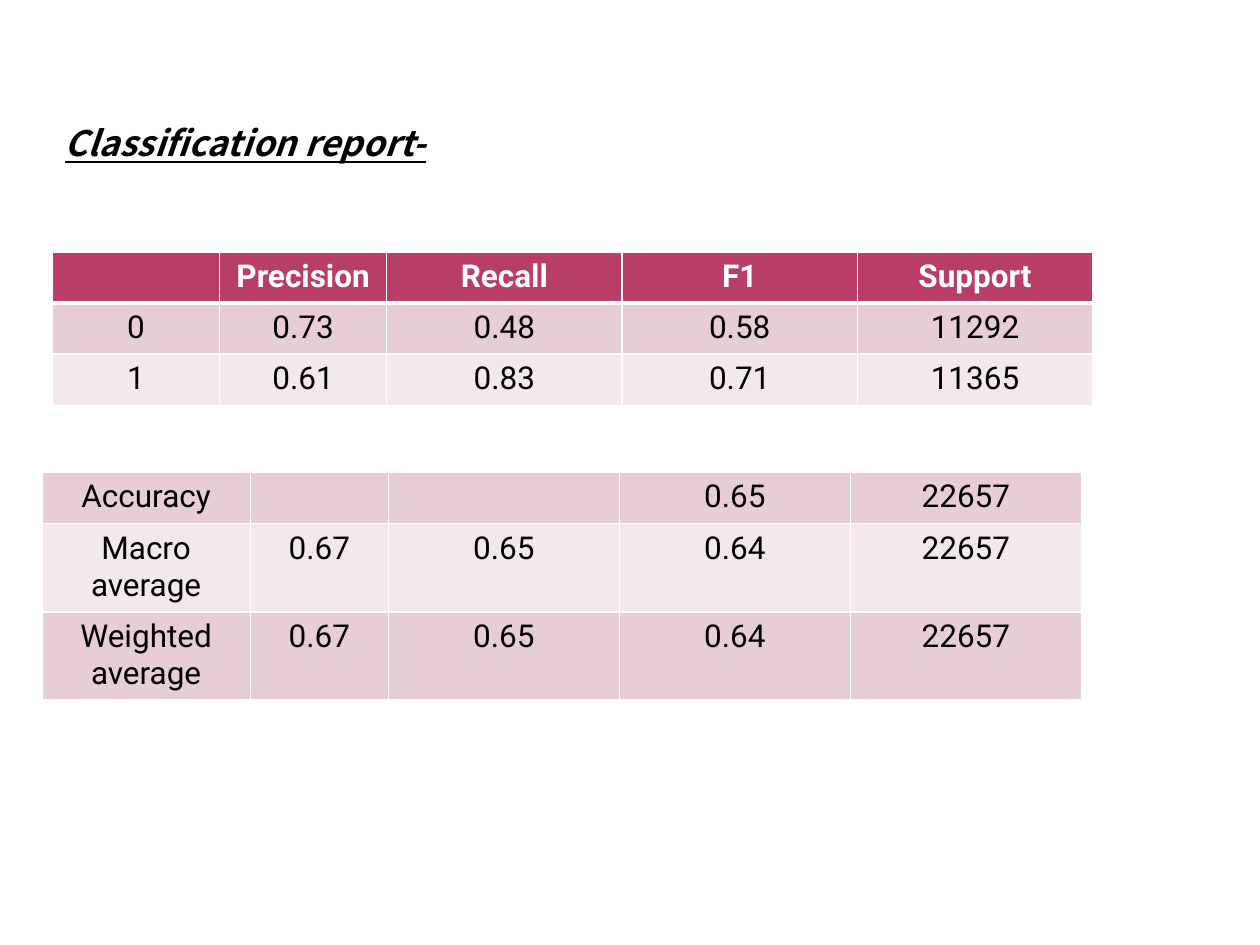
from lxml import etree
from pptx import Presentation
from pptx.dml.color import RGBColor
from pptx.enum.text import PP_ALIGN
from pptx.oxml.ns import qn
from pptx.util import Pt

CENTER = PP_ALIGN.CENTER
BLACK = RGBColor(0x00, 0x00, 0x00)
WHITE = RGBColor(0xFF, 0xFF, 0xFF)
RASPBERRY = RGBColor(0xB8, 0x3D, 0x68)
ROSE = RGBColor(0xE6, 0xCE, 0xD4)
BLUSH = RGBColor(0xF3, 0xE8, 0xEB)

TITLE_FORMAT = {"name": "Noto Sans CJK SC", "size": Pt(20), "bold": True,
                "italic": True, "underline": True}
BODY_FORMAT = {"name": "Roboto", "size": Pt(18), "bold": False}
HEADER_FORMAT = {**BODY_FORMAT, "bold": True}

ROW_HEIGHT = 29.2
CLASS_ROWS = [
    ["", "Precision", "Recall", "F1", "Support"],
    ["0", "0.73", "0.48", "0.58", "11292"],
    ["1", "0.61", "0.83", "0.71", "11365"],
]
AVERAGE_ROWS = [
    ["Accuracy", "", "", "0.65", "22657"],
    ["Macro average", "0.67", "0.65", "0.64", "22657"],
    ["Weighted average", "0.67", "0.65", "0.64", "22657"],
]


def add_span(para, text, formats, color):
    """Add a formatted run to a paragraph."""
    span = para.add_run()
    span.text = text
    for name, value in formats.items():
        setattr(span.font, name, value)
    span.font.color.rgb = color


def add_borders(cell, widths):
    """Draw white borders on a cell, given a width in points for each edge."""
    properties = cell._tc.get_or_add_tcPr()
    for index, (edge, width) in enumerate(widths.items()):
        line = etree.Element(qn(f"a:ln{edge}"), w=str(Pt(width)))
        fill = etree.SubElement(line, qn("a:solidFill"))
        etree.SubElement(fill, qn("a:srgbClr"), val=str(WHITE))
        properties.insert(index, line)


def add_title(page, left, top, width, height):
    """Place the report heading."""
    box = page.shapes.add_textbox(Pt(left), Pt(top), Pt(width), Pt(height))
    box.text_frame.word_wrap = True
    para = box.text_frame.paragraphs[0]
    add_span(para, "Classification report-", TITLE_FORMAT, BLACK)


def add_score_table(page, left, top, column_widths, rows, has_header):
    """Place a banded table of scores, with an optional header row."""
    frame = page.shapes.add_table(
        len(rows), len(column_widths), Pt(left), Pt(top),
        Pt(sum(column_widths)), Pt(ROW_HEIGHT * len(rows)))
    table = frame.table
    table.first_row = has_header
    for column, width in zip(table.columns, column_widths):
        column.width = Pt(width)
    for row_index, texts in enumerate(rows):
        table.rows[row_index].height = Pt(ROW_HEIGHT)
        is_header = has_header and row_index == 0
        band = (ROSE, BLUSH)[(row_index - has_header) % 2]
        borders = {"L": 1, "R": 1,
                   "T": 3 if has_header and row_index == 1 else 1,
                   "B": 3 if is_header else 1}
        for column_index, text in enumerate(texts):
            cell = table.cell(row_index, column_index)
            cell.fill.solid()
            cell.fill.fore_color.rgb = RASPBERRY if is_header else band
            add_borders(cell, borders)
            para = cell.text_frame.paragraphs[0]
            para.alignment = CENTER
            if text:
                add_span(para, text,
                         HEADER_FORMAT if is_header else BODY_FORMAT,
                         WHITE if is_header else BLACK)


def main():
    """Build the classification report slide."""
    deck = Presentation()
    deck.slide_width, deck.slide_height = Pt(720), Pt(540)
    page = deck.slides.add_slide(deck.slide_layouts[6])
    add_title(page, 30, 66, 582, 75)
    add_score_table(page, 30, 144, [95.5] * 2 + [134.5] * 3, CLASS_ROWS, True)
    add_score_table(page, 24, 270, [119, 79] + [132] * 3, AVERAGE_ROWS, False)
    deck.save("out.pptx")


if __name__ == "__main__":
    main()
